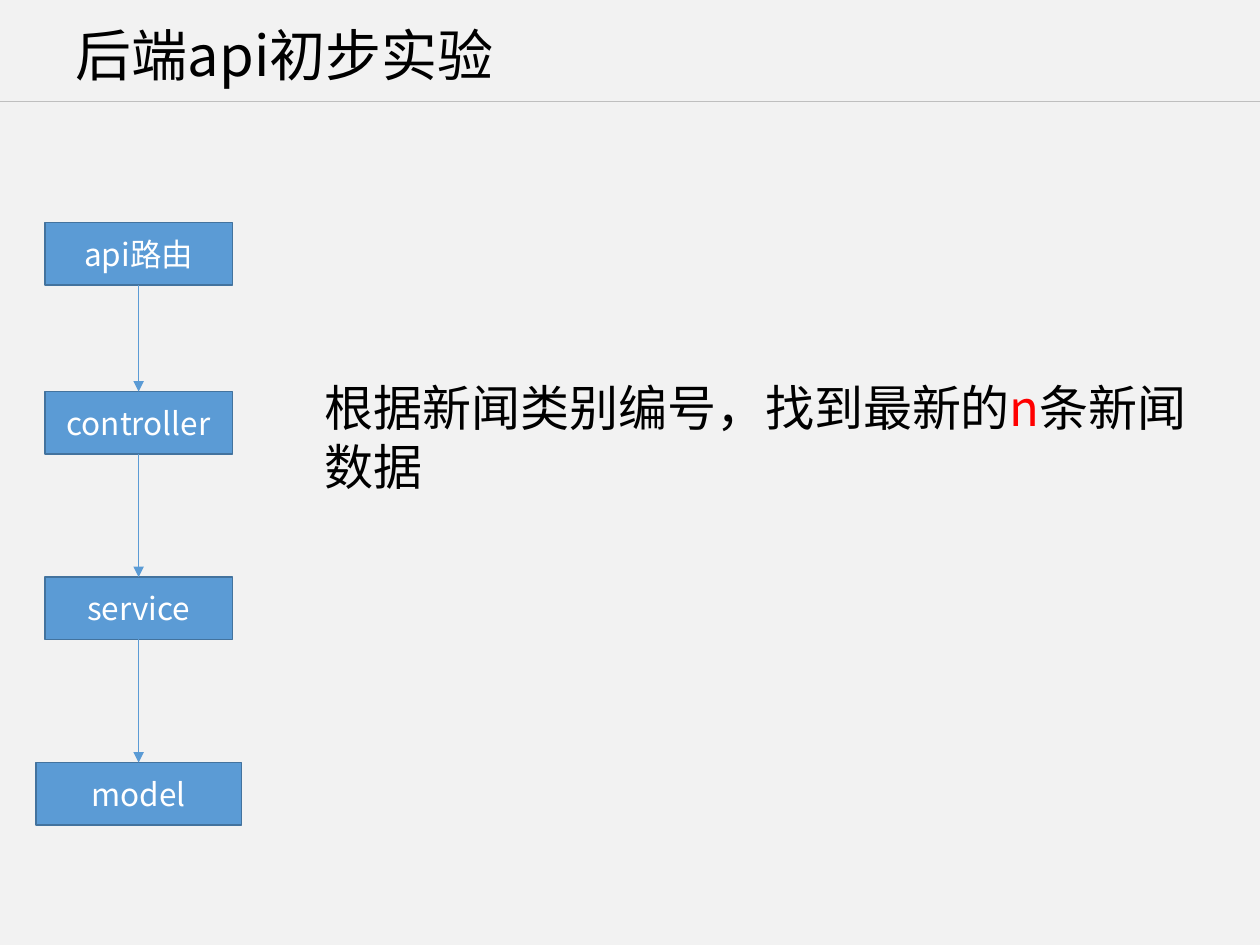
from pptx import Presentation
from pptx.dml.color import RGBColor
from pptx.enum.shapes import MSO_CONNECTOR, MSO_SHAPE
from pptx.enum.text import MSO_ANCHOR, MSO_AUTO_SIZE, PP_ALIGN
from pptx.oxml.ns import qn
from pptx.util import Pt
from lxml import etree

STRAIGHT = MSO_CONNECTOR.STRAIGHT
RECTANGLE = MSO_SHAPE.RECTANGLE
MIDDLE = MSO_ANCHOR.MIDDLE
LEFT, CENTER = PP_ALIGN.LEFT, PP_ALIGN.CENTER

FONT = "Noto Sans CJK SC"
BACKGROUND = RGBColor(0xF2, 0xF2, 0xF2)
RULE_GRAY = RGBColor(0xBF, 0xBF, 0xBF)
BLUE = RGBColor(0x5B, 0x9B, 0xD5)
DARK_BLUE = RGBColor(0x43, 0x73, 0x9E)
BLACK = RGBColor(0, 0, 0)
WHITE = RGBColor(0xFF, 0xFF, 0xFF)
RED = RGBColor(0xFF, 0, 0)


def style_paragraph(paragraph, size, color, alignment):
    paragraph.alignment = alignment
    font = paragraph.font
    font.name, font.size = FONT, Pt(size)
    font.color.rgb = color
    # East Asian typeface follows the Latin one
    latin = font._element.find(qn("a:latin"))
    east_asian = etree.Element(qn("a:ea"), typeface=FONT)
    latin.addnext(east_asian)


def add_line(x1, y1, x2, y2, color):
    line = slide.shapes.add_connector(STRAIGHT, Pt(x1), Pt(y1), Pt(x2), Pt(y2))
    line.line.color.rgb = color
    line.line.width = Pt(0.5)
    etree.SubElement(line._element.spPr, qn("a:effectLst"))
    return line


presentation = Presentation()
presentation.slide_width, presentation.slide_height = Pt(720), Pt(540)
slide = presentation.slides.add_slide(presentation.slide_layouts[5])
slide.background.fill.solid()
slide.background.fill.fore_color.rgb = BACKGROUND

# Heading and the rule below it
add_line(0, 58, 720, 58, RULE_GRAY)
title = slide.shapes.title
title.left, title.top, title.width, title.height = Pt(36), Pt(10.8), Pt(362), Pt(44.6)
title.text_frame.text = "后端api初步实验"
title.text_frame.auto_size = MSO_AUTO_SIZE.NONE
title.text_frame.vertical_anchor = MIDDLE
title.text_frame.paragraphs[0].line_spacing = 0.9
style_paragraph(title.text_frame.paragraphs[0], 32, BLACK, LEFT)

# Layers of the back end, centred on one axis
AXIS_X = 79.2
LAYER_HEIGHT = 35.6
layers = [
    ("api路由", 127.2, 107.3),
    ("controller", 223.8, 107.3),
    ("service", 329.8, 107.3),
    ("model", 435.8, 117.6),
]
layer_boxes = []
for name, top, width in layers:
    box = slide.shapes.add_shape(
        RECTANGLE, Pt(AXIS_X - width / 2), Pt(top), Pt(width), Pt(LAYER_HEIGHT))
    box.shadow.inherit = False
    box.fill.solid()
    box.fill.fore_color.rgb = BLUE
    box.line.color.rgb = DARK_BLUE
    box.line.width = Pt(1)
    box.text_frame.text = name
    box.text_frame.word_wrap = True
    box.text_frame.vertical_anchor = MIDDLE
    style_paragraph(box.text_frame.paragraphs[0], 18, WHITE, CENTER)
    layer_boxes.append(box)

# Calls from each layer to the next: bottom site to top site
for caller, callee in zip(layer_boxes, layer_boxes[1:]):
    call = add_line(0, 0, 0, 0, BLUE)
    call.begin_connect(caller, 2)
    call.end_connect(callee, 0)
    etree.SubElement(call.line._get_or_add_ln(), qn("a:tailEnd"), type="triangle")

# Task description
task = slide.shapes.add_textbox(Pt(178.6), Pt(212.4), Pt(508.3), Pt(75))
task.text_frame.word_wrap = True
task.text_frame.auto_size = MSO_AUTO_SIZE.SHAPE_TO_FIT_TEXT
task_paragraph = task.text_frame.paragraphs[0]
style_paragraph(task_paragraph, 28, BLACK, LEFT)
for text, color in [("根据新闻类别编号，找到最新的", BLACK), ("n", RED), ("条新闻数据", BLACK)]:
    run = task_paragraph.add_run()
    run.text = text
    run.font.color.rgb = color

presentation.save("out.pptx")
